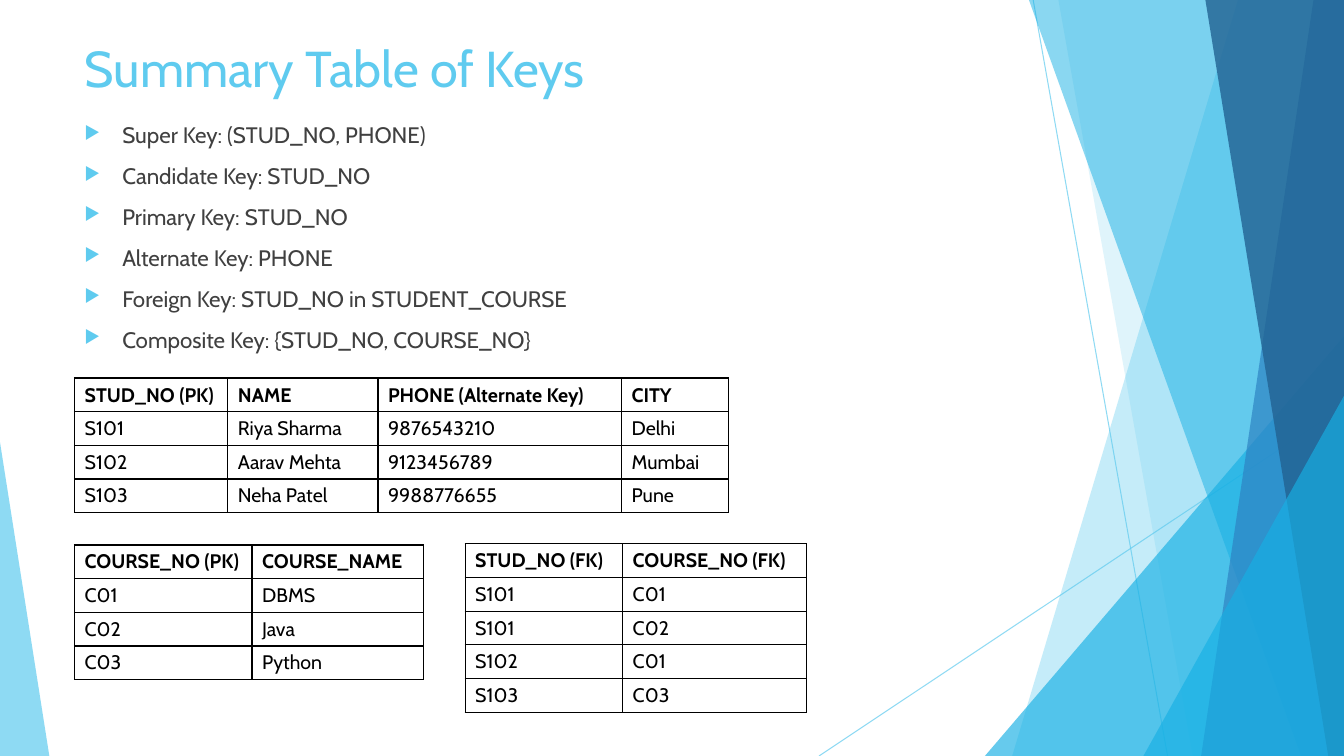
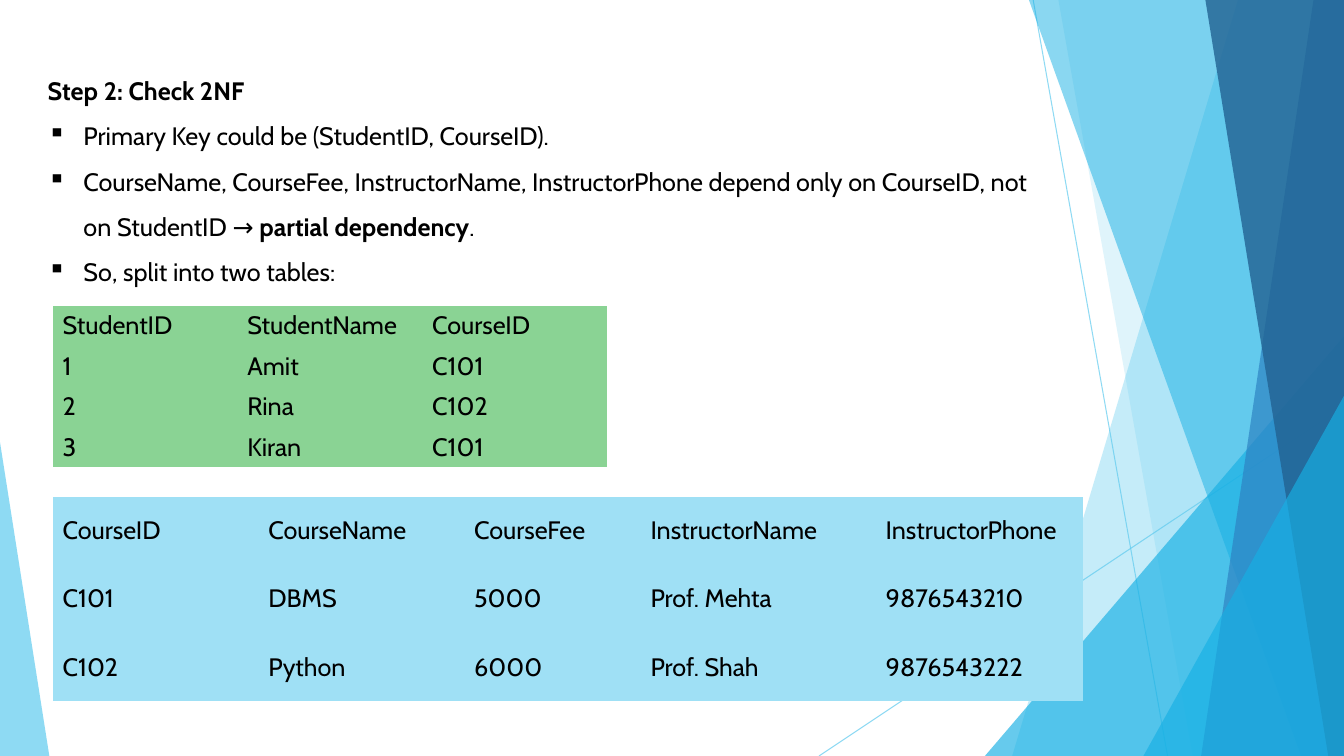
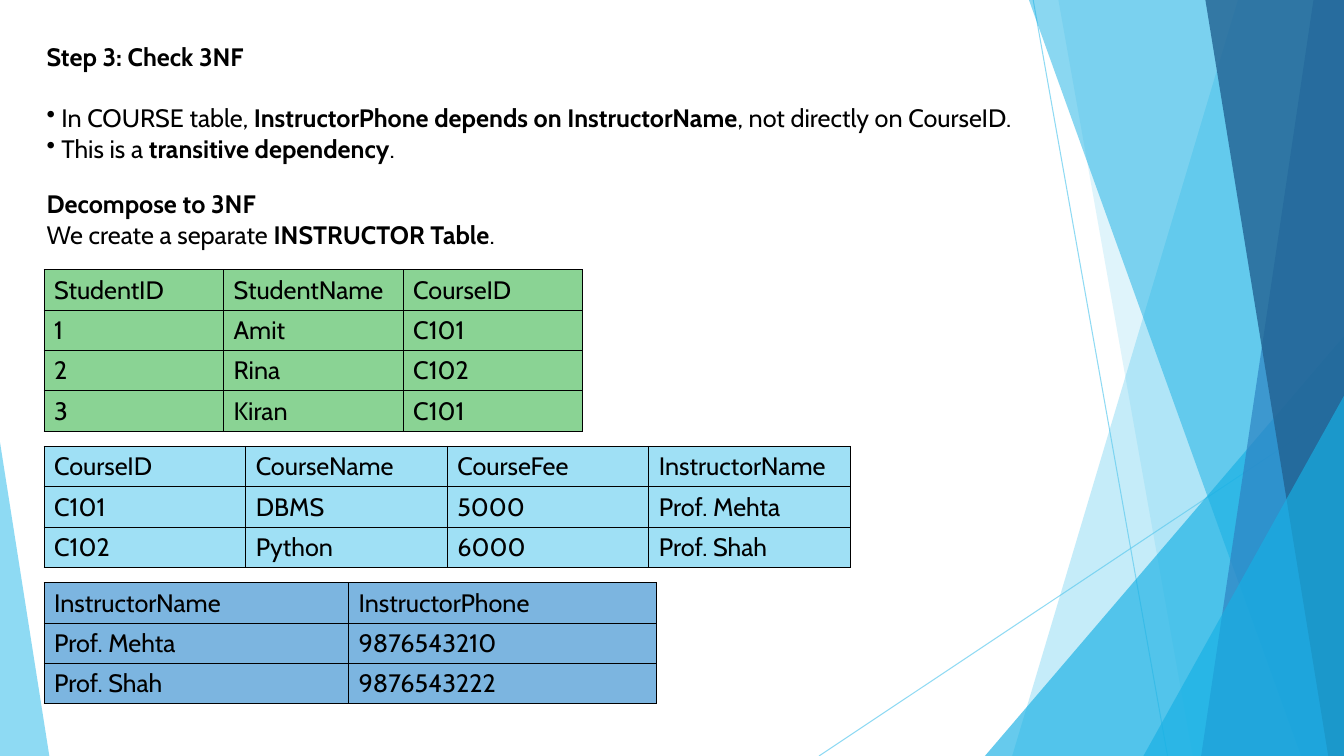
import dataclasses

import pptx
import pptx.dml.color
import pptx.enum.shapes
import pptx.enum.text
import pptx.oxml
import pptx.oxml.ns
import pptx.util

PX = 9525
WIDTH, HEIGHT = 1280, 720
NO_STYLE = "{2D5ABB26-0587-4C30-8999-92F81FD0307C}"


@dataclasses.dataclass(frozen=True)
class Theme:
    font: str = "Cabin"
    accent: str = "5FCBEF"
    cyan: str = "17B0E4"
    blue: str = "2E83C3"
    navy: str = "226292"
    ink: str = "000000"
    body: str = "404040"
    green_fill: str = "8AD394"
    cyan_fill: str = "9FE0F5"
    blue_fill: str = "7CB5E0"
    title_size: int = 36
    text_size: int = 18
    list_size: int = 16
    small_size: int = 14
    hairline: float = 0.75


@dataclasses.dataclass(frozen=True)
class Para:
    text: str
    bullet: str = ""
    indent: int = 0
    before: int = 0
    spacing: float = 1.0


THEME = Theme()

STUDENTS = [
    ["STUD_NO (PK)", "NAME", "PHONE (Alternate Key)", "CITY"],
    ["S101", "Riya Sharma", "9876543210", "Delhi"],
    ["S102", "Aarav Mehta", "9123456789", "Mumbai"],
    ["S103", "Neha Patel", "9988776655", "Pune"],
]
COURSE_NAMES = [
    ["COURSE_NO (PK)", "COURSE_NAME"],
    ["C01", "DBMS"],
    ["C02", "Java"],
    ["C03", "Python"],
]
STUDENT_COURSES = [
    ["STUD_NO (FK)", "COURSE_NO (FK)"],
    ["S101", "C01"],
    ["S101", "C02"],
    ["S102", "C01"],
    ["S103", "C03"],
]
ENROLMENTS = [
    ["StudentID", "StudentName", "CourseID"],
    ["1", "Amit", "C101"],
    ["2", "Rina", "C102"],
    ["3", "Kiran", "C101"],
]
COURSES = [
    ["CourseID", "CourseName", "CourseFee", "InstructorName", "InstructorPhone"],
    ["C101", "DBMS", "5000", "Prof. Mehta", "9876543210"],
    ["C102", "Python", "6000", "Prof. Shah", "9876543222"],
]


def rgb(color):
    return pptx.dml.color.RGBColor.from_string(color)


def emu(*lengths):
    return [length * PX for length in lengths]


def set_alpha(shape, percent):
    for color in shape._element.spPr.iter(pptx.oxml.ns.qn("a:srgbClr")):
        alpha = color.makeelement(pptx.oxml.ns.qn("a:alpha"), {"val": str(percent * 1000)})
        color.append(alpha)


def paint(shape, color, percent):
    shape.shadow.inherit = False
    shape.fill.solid()
    shape.fill.fore_color.rgb = rgb(color)
    shape.line.fill.background()
    set_alpha(shape, percent)


def ray(s, x1, y1, x2, y2):
    line = s.shapes.add_connector(
        pptx.enum.shapes.MSO_CONNECTOR.STRAIGHT, *emu(x1, y1, x2, y2))
    line.line.color.rgb = rgb(THEME.accent)
    line.line.width = pptx.util.Pt(THEME.hairline)
    set_alpha(line, 70)
    sp_pr = line._element.spPr
    sp_pr.append(sp_pr.makeelement(pptx.oxml.ns.qn("a:effectLst"), {}))


def band(s, box, top_left, bottom_left, color, percent):
    x, y, w, h = box
    builder = s.shapes.build_freeform(x + top_left, y, scale=PX)
    builder.add_line_segments(
        [(x + w, y), (x + w, y + h), (x + bottom_left, y + h)], close=True)
    paint(builder.convert_to_shape(), color, percent)


def wedge(s, x, y, w, h, apex, color, percent):
    sp = s.shapes.add_shape(
        pptx.enum.shapes.MSO_SHAPE.ISOSCELES_TRIANGLE, *emu(x, y, w, h))
    sp.adjustments[0] = apex
    paint(sp, color, percent)


def backdrop(s, box):
    x, y, w, h = box
    right, bottom = x + w, y + h
    ray(s, x + 984, y, x + 1112, bottom)
    ray(s, right, y + 387, x + 780, bottom)
    band(s, box, 1179, 964, THEME.accent, 36)
    band(s, box, 1008, 1136, THEME.accent, 20)
    wedge(s, right - 342, bottom - 400, 342, 400, 1, THEME.cyan, 66)
    band(s, box, 980, 1239, THEME.cyan, 50)
    band(s, box, 1251, 1144, THEME.blue, 70)
    band(s, box, 1148, 1265, THEME.navy, 80)
    wedge(s, right - 191, bottom - 343, 191, 343, 1, THEME.cyan, 66)
    wedge(s, x, bottom - 299, 47, 299, 0, THEME.accent, 70)


def add_bullet(p, para, bullet_color):
    p_pr = p._p.get_or_add_pPr()
    p_pr.set("marL", str(para.indent * PX))
    p_pr.set("indent", str(-para.indent * PX))
    ns = pptx.oxml.ns.nsdecls("a")
    if bullet_color:
        p_pr.append(pptx.oxml.parse_xml(
            f'<a:buClr {ns}><a:srgbClr val="{bullet_color}"/></a:buClr>'))
        p_pr.append(pptx.oxml.parse_xml(f'<a:buSzPct {ns} val="80000"/>'))
    p_pr.append(pptx.oxml.parse_xml(f'<a:buChar {ns} char="{para.bullet}"/>'))


def style_run(r, size, color, bold=False):
    r.font.name = THEME.font
    r.font.size = pptx.util.Pt(size)
    r.font.color.rgb = rgb(color)
    r.font.bold = bold


def text_block(s, box, paras, size=THEME.text_size, color=THEME.ink, bullet_color=None):
    tf = s.shapes.add_textbox(*emu(*box)).text_frame
    tf.word_wrap = True
    for i, para in enumerate(paras):
        p = tf.add_paragraph() if i else tf.paragraphs[0]
        if para.bullet:
            add_bullet(p, para, bullet_color)
        if para.before and i:
            p.space_before = pptx.util.Pt(para.before)
        p.line_spacing = para.spacing
        for j, chunk in enumerate(para.text.split("*")):
            if chunk:
                r = p.add_run()
                r.text = chunk
                style_run(r, size, color, bold=j % 2 == 1)


def add_borders(cell, width):
    tc_pr = cell._tc.get_or_add_tcPr()
    for i, side in enumerate(("lnL", "lnR", "lnT", "lnB")):
        tc_pr.insert(i, pptx.oxml.parse_xml(
            f'<a:{side} {pptx.oxml.ns.nsdecls("a")} w="{pptx.util.Pt(width)}">'
            f'<a:solidFill><a:srgbClr val="{THEME.ink}"/></a:solidFill></a:{side}>'))


def grid(s, x, y, widths, rows, row_height=38, size=THEME.text_size,
         fill=None, border=0, bold_header=False):
    frame = s.shapes.add_table(
        len(rows), len(widths), *emu(x, y, sum(widths), row_height * len(rows)))
    table = frame.table
    table.horz_banding = False
    table._tbl.tblPr.find(pptx.oxml.ns.qn("a:tableStyleId")).text = NO_STYLE
    for column, width in zip(table.columns, widths):
        column.width = width * PX
    for i, row in enumerate(rows):
        table.rows[i].height = row_height * PX
        for j, value in enumerate(row):
            cell = table.cell(i, j)
            cell.text = value
            cell.vertical_anchor = pptx.enum.text.MSO_ANCHOR.MIDDLE
            style_run(cell.text_frame.paragraphs[0].runs[0], size, THEME.ink,
                      bold=bold_header and i == 0)
            if fill:
                cell.fill.solid()
                cell.fill.fore_color.rgb = rgb(fill)
            else:
                cell.fill.background()
            if border:
                add_borders(cell, border)


def keys_slide(s, box):
    x, y, w, h = box
    text_block(s, (x, y, w, 80), [Para("Summary Table of Keys")],
               THEME.title_size, THEME.accent)
    keys = [
        "Super Key: (STUD_NO, PHONE)",
        "Candidate Key: STUD_NO",
        "Primary Key: STUD_NO",
        "Alternate Key: PHONE",
        "Foreign Key: STUD_NO in STUDENT_COURSE",
        "Composite Key: {STUD_NO, COURSE_NO}",
    ]
    text_block(s, (x, y + 80, w, 240), [Para(key, "▶", 36, 10) for key in keys],
               THEME.list_size, THEME.body, THEME.accent)
    for left, top, widths, rows in (
        (0, 329, [146, 143, 232, 102], STUDENTS),
        (0, 488, [169, 163], COURSE_NAMES),
        (372, 487, [150, 175], STUDENT_COURSES),
    ):
        grid(s, x + left, y + top, widths, rows, row_height=32,
             size=THEME.small_size, border=1, bold_header=True)


def second_form_slide(s, box):
    x, y, w, h = box
    points = [
        "Primary Key could be (StudentID, CourseID).",
        "CourseName, CourseFee, InstructorName, InstructorPhone depend only on "
        "CourseID, not on StudentID → *partial dependency*.",
        "So, split into two tables:",
    ]
    text_block(s, (x, y, w, 208), [Para("*Step 2: Check 2NF*")]
               + [Para(point, "▪", 34, spacing=1.5) for point in points])
    grid(s, x + 14, y + 224, [176] * 3, ENROLMENTS, fill=THEME.green_fill)
    grid(s, x + 14, y + 406, [196, 196, 168, 224, 198], COURSES,
         row_height=65, fill=THEME.cyan_fill)


def third_form_slide(s, box):
    x, y, w, h = box
    text_block(s, (x, y, w, 126), [
        Para("*Step 3: Check 3NF*"),
        Para("In COURSE table, *InstructorPhone depends on InstructorName*, "
             "not directly on CourseID.", "•", 14, 22),
        Para("This is a *transitive dependency*.", "•", 14),
    ])
    text_block(s, (x, y + 140, 640, 68), [
        Para("*Decompose to 3NF*"),
        Para("We create a separate *INSTRUCTOR Table*."),
    ])
    top, row_height, gap = y + 222, 38, 16
    for widths, rows, fill in (
        ([171] * 3, ENROLMENTS, THEME.green_fill),
        ([192] * 4, [row[:4] for row in COURSES], THEME.cyan_fill),
        ([290, 293], [row[3:] for row in COURSES], THEME.blue_fill),
    ):
        grid(s, x + 7, top, widths, rows, row_height, fill=fill, border=THEME.hairline)
        top += row_height * len(rows) + gap


def main():
    prs = pptx.Presentation()
    prs.slide_width, prs.slide_height = emu(WIDTH, HEIGHT)
    for build, box in (
        (keys_slide, (71, 31, 902, 648)),
        (second_form_slide, (36, 67, 954, 602)),
        (third_form_slide, (35, 35, 1218, 634)),
    ):
        s = prs.slides.add_slide(prs.slide_layouts[6])
        backdrop(s, (0, 0, WIDTH, HEIGHT))
        build(s, box)
    prs.save("out.pptx")


if __name__ == "__main__":
    main()
